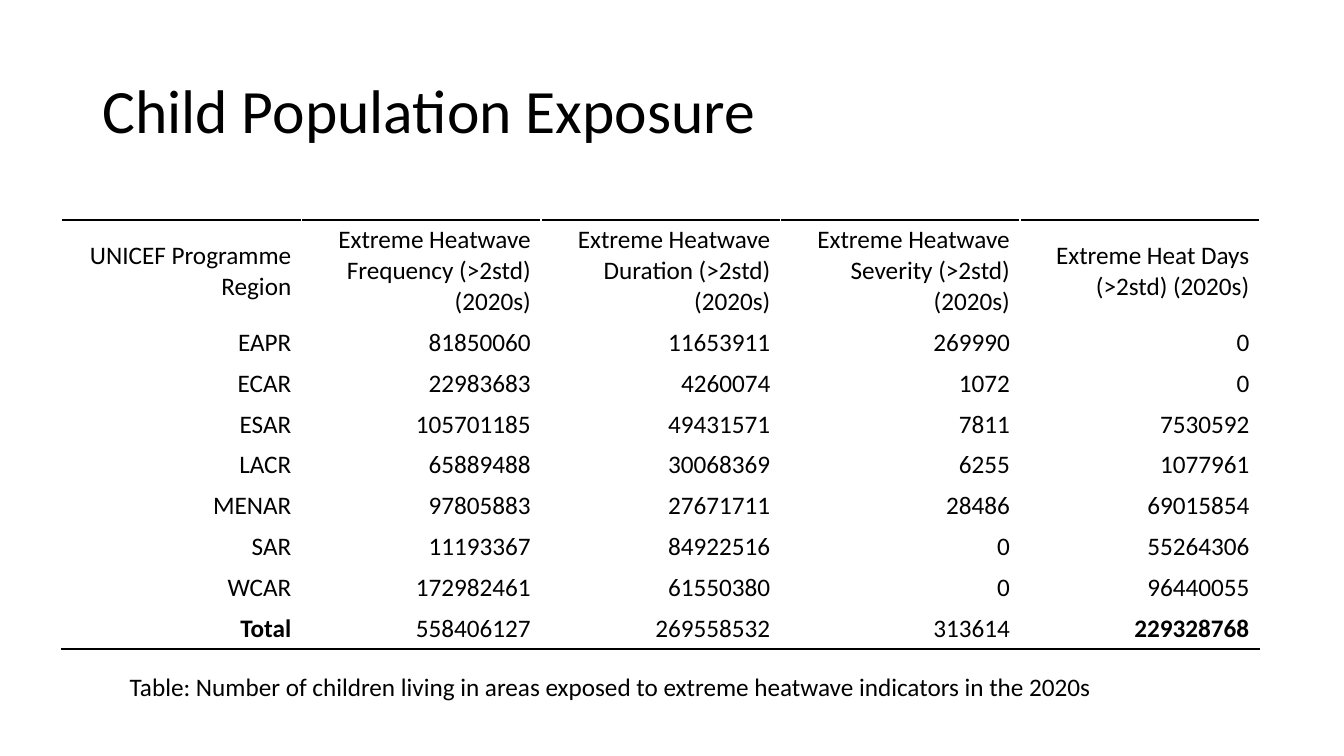
from lxml.etree import SubElement
from pptx import Presentation
from pptx.dml.color import RGBColor as Color
from pptx.enum.text import MSO_ANCHOR as Anchor, PP_ALIGN as Align
from pptx.oxml.ns import qn
from pptx.util import Cm, Pt

COLORS = {"text": "000000", "rule": "000000", "cell": "FFFFFF"}
FONT = "Calibri"

HEADINGS = [
    "UNICEF Programme Region",
    "Extreme Heatwave Frequency (>2std) (2020s)",
    "Extreme Heatwave Duration (>2std) (2020s)",
    "Extreme Heatwave Severity (>2std) (2020s)",
    "Extreme Heat Days (>2std) (2020s)",
]
REGIONS = [
    ("EAPR", 81850060, 11653911, 269990, 0),
    ("ECAR", 22983683, 4260074, 1072, 0),
    ("ESAR", 105701185, 49431571, 7811, 7530592),
    ("LACR", 65889488, 30068369, 6255, 1077961),
    ("MENAR", 97805883, 27671711, 28486, 69015854),
    ("SAR", 11193367, 84922516, 0, 55264306),
    ("WCAR", 172982461, 61550380, 0, 96440055),
    ("Total", 558406127, 269558532, 313614, 229328768),
]
BOLD_TEXTS = {"Total", "229328768"}


def write_text(frame, text, size=18, bold=False, align=Align.LEFT, spacing=1.0):
    paragraph = frame.paragraphs[0]
    paragraph.alignment = align
    paragraph.line_spacing = spacing
    run = paragraph.add_run()
    run.text = text
    run.font.name = FONT
    run.font.size = Pt(size)
    run.font.bold = bold
    run.font.color.rgb = Color.from_string(COLORS["text"])


class SlideBuilder:
    def __init__(self, slide, rule_width=2):
        self.slide = slide
        self.rule_width = rule_width

    def text(self, text, left, top, width, height, anchor=Anchor.TOP, **style):
        box = self.slide.shapes.add_textbox(Cm(left), Cm(top), Cm(width), Cm(height))
        box.text_frame.word_wrap = True
        box.text_frame.vertical_anchor = anchor
        write_text(box.text_frame, text, **style)

    def rule(self, cell, side):
        properties = cell._tc.get_or_add_tcPr()
        line = SubElement(properties, qn(f"a:{side}"), w=str(Pt(self.rule_width)))
        fill = SubElement(line, qn("a:solidFill"))
        SubElement(fill, qn("a:srgbClr"), val=COLORS["rule"])

    def table(self, rows, left, top, width, header_height, row_height):
        heights = [header_height] + [row_height] * (len(rows) - 1)
        table = self.slide.shapes.add_table(
            len(rows), len(rows[0]), Cm(left), Cm(top), Cm(width), Cm(sum(heights))
        ).table
        table.first_row = table.horz_banding = False
        for row, height in zip(table.rows, heights):
            row.height = Cm(height)
        for row_index, values in enumerate(rows):
            for column_index, value in enumerate(values):
                cell = table.cell(row_index, column_index)
                # Rules above the headings and below the totals
                if row_index == 0:
                    self.rule(cell, "lnT")
                elif row_index == len(rows) - 1:
                    self.rule(cell, "lnB")
                cell.fill.solid()
                cell.fill.fore_color.rgb = Color.from_string(COLORS["cell"])
                cell.vertical_anchor = Anchor.MIDDLE
                text = str(value)
                write_text(cell.text_frame, text, bold=text in BOLD_TEXTS,
                           align=Align.RIGHT)


def main():
    presentation = Presentation()
    presentation.slide_width = Cm(33.87)
    presentation.slide_height = Cm(19.05)
    builder = SlideBuilder(presentation.slides.add_slide(presentation.slide_layouts[6]))

    # Title
    builder.text("Child Population Exposure", 2.33, 1.01, 29.21, 3.68,
                 anchor=Anchor.MIDDLE, size=44, spacing=0.9)

    # Exposure by region
    builder.table([HEADINGS] + REGIONS, 1.56, 5.54, 30.18,
                  header_height=2.58, row_height=1.03)

    # Caption
    builder.text("Table: Number of children living in areas exposed to extreme "
                 "heatwave indicators in the 2020s", 3.02, 16.8, 28.12, 1.02)

    presentation.save("out.pptx")


if __name__ == "__main__":
    main()
